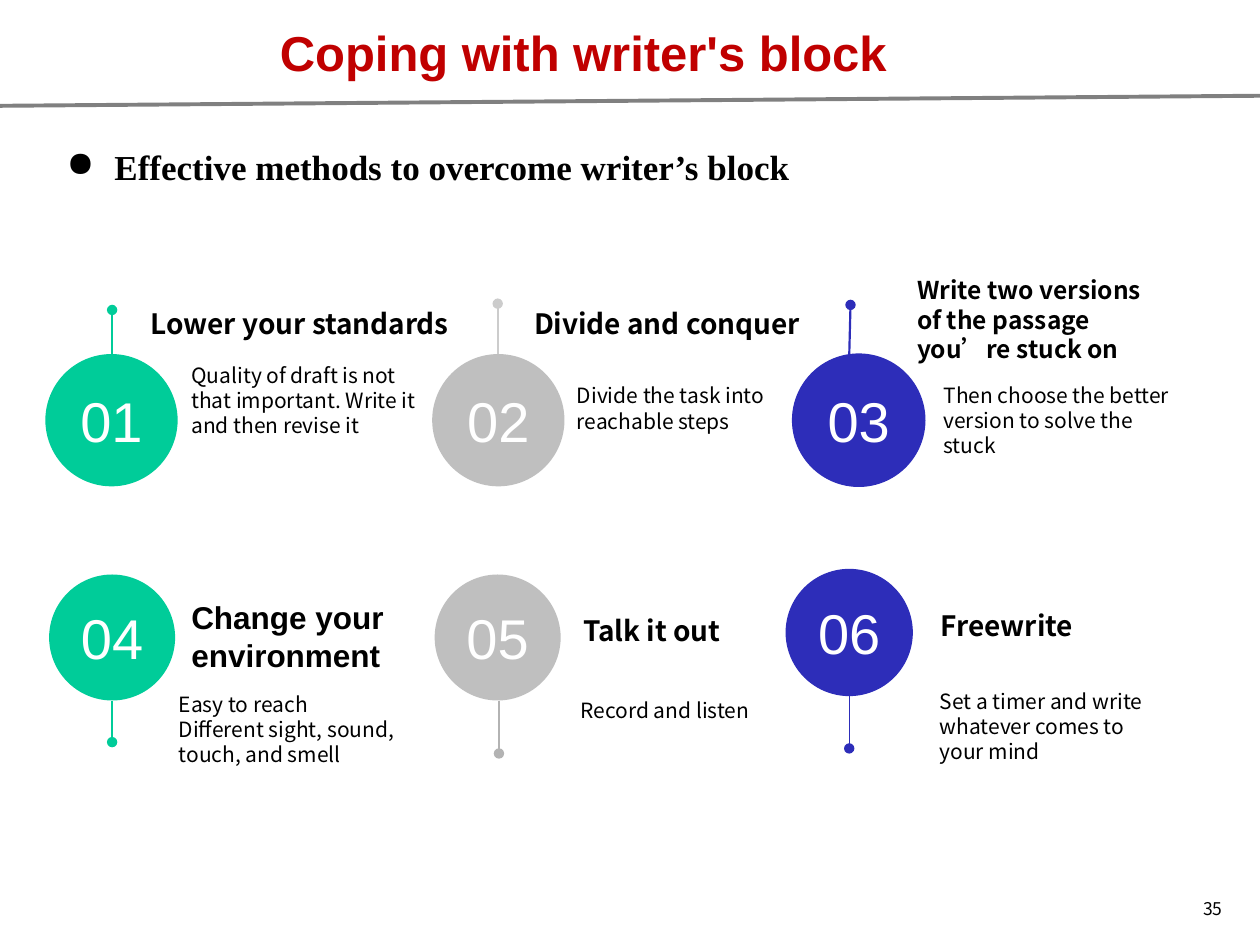
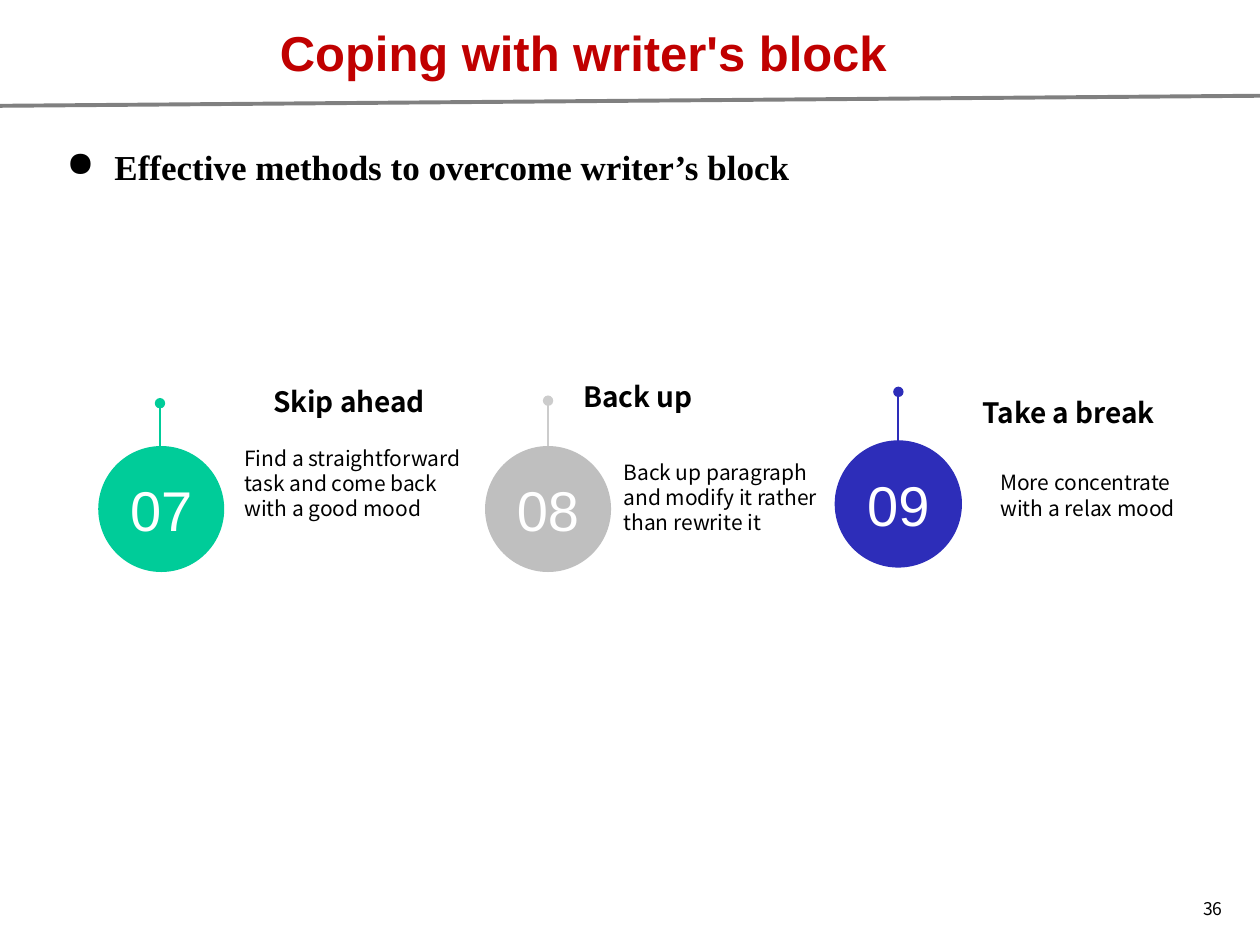
from collections import namedtuple

from lxml.etree import SubElement
from pptx import Presentation
from pptx.dml.color import RGBColor
from pptx.enum.shapes import MSO_CONNECTOR, MSO_SHAPE
from pptx.enum.text import MSO_ANCHOR, PP_ALIGN
from pptx.oxml.ns import qn
from pptx.util import Inches, Pt

BLACK = RGBColor(0x00, 0x00, 0x00)
WHITE = RGBColor(0xFF, 0xFF, 0xFF)
RED = RGBColor(0xC0, 0x00, 0x00)
RULE_GRAY = RGBColor(0x80, 0x80, 0x80)
GREEN = RGBColor(0x00, 0xCC, 0x99)
GRAY = RGBColor(0xBF, 0xBF, 0xBF)
LIGHT_GRAY = RGBColor(0xCC, 0xCC, 0xCC)
PIN_GRAY = RGBColor(0xB3, 0xB3, 0xB3)
BLUE = RGBColor(0x2D, 0x2D, 0xB9)

SANS = "Noto Sans CJK SC"
TITLE = {"name": "Arial", "size": Pt(28), "bold": True, "color": RED}
SUBTITLE = {"name": "Times New Roman", "size": Pt(20), "bold": True, "color": BLACK}
NUMBER = {"name": "Arial", "size": Pt(32), "bold": False, "color": WHITE}
HEADING = {"name": SANS, "size": Pt(16), "bold": True, "color": BLACK}
SMALL_HEADING = {**HEADING, "size": Pt(14)}
ARIAL_HEADING = {**HEADING, "name": "Arial", "size": Pt(18)}
BODY = {"name": SANS, "size": Pt(12), "bold": False, "color": BLACK}
PAGE = {**BODY, "size": Pt(10)}

Circle = namedtuple("Circle", "left top size color")
Pin = namedtuple("Pin", "start end color width")
Label = namedtuple("Label", "box text style")
Method = namedtuple("Method", "circle pin heading body")

SLIDES = {
    35: [
        Method(Circle(0.36, 2.81, 1.05, GREEN),
               Pin((0.89, 2.81), (0.89, 2.46), GREEN, 1.25),
               Label((1.1, 2.38, 3.04, 0.37), "Lower your standards", HEADING),
               Label((1.42, 2.82, 2.09, 0.71),
                     "Quality of draft is not that important. Write it and then revise it", BODY)),
        Method(Circle(3.43, 2.81, 1.05, GRAY),
               Pin((3.95, 2.81), (3.95, 2.41), LIGHT_GRAY, 1.25),
               Label((4.14, 2.38, 3.04, 0.37), "Divide and conquer", HEADING),
               Label((4.48, 2.99, 2.02, 0.5), "Divide the task into reachable steps", BODY)),
        Method(Circle(6.29, 2.81, 1.05, BLUE),
               Pin((6.74, 2.83), (6.75, 2.42), BLUE, 1.25),
               Label((7.18, 2.13, 2.17, 0.81),
                     "Write two versions of the passage you’re stuck on", SMALL_HEADING),
               Label((7.39, 2.98, 2.02, 0.71),
                     "Then choose the better version to solve the stuck", BODY)),
        Method(Circle(0.39, 4.56, 1, GREEN),
               Pin((0.89, 5.56), (0.89, 5.89), GREEN, 1.25),
               Label((1.42, 4.69, 2.03, 0.71), "Change your environment", ARIAL_HEADING),
               Label((1.32, 5.43, 2.09, 0.71),
                     "Easy to reach\nDifferent sight, sound, touch, and smell", BODY)),
        Method(Circle(3.45, 4.56, 1, GRAY),
               Pin((3.96, 5.56), (3.96, 5.98), PIN_GRAY, 0.75),
               Label((4.53, 4.82, 1.9, 0.37), "Talk it out", HEADING),
               Label((4.51, 5.49, 2.09, 0.3), "Record and listen", BODY)),
        Method(Circle(6.24, 4.52, 1, BLUE),
               Pin((6.74, 5.52), (6.74, 5.94), BLUE, 0.75),
               Label((7.37, 4.78, 2.5, 0.37), "Freewrite", HEADING),
               Label((7.36, 5.41, 1.94, 0.71),
                     "Set a timer and write whatever comes to your mind", BODY)),
    ],
    36: [
        Method(Circle(0.78, 3.54, 1, GREEN),
               Pin((1.27, 3.59), (1.27, 3.2), GREEN, 1.25),
               Label((2.07, 3, 1.81, 0.37), "Skip ahead", HEADING),
               Label((1.84, 3.48, 2.09, 0.71),
                     "Find a straightforward task and come back with a good mood", BODY)),
        Method(Circle(3.85, 3.54, 1, GRAY),
               Pin((4.35, 3.54), (4.35, 3.18), LIGHT_GRAY, 1.25),
               Label((4.53, 2.96, 2.9, 0.37), "Back up", HEADING),
               Label((4.85, 3.59, 1.86, 0.71),
                     "Back up paragraph and modify it rather than rewrite it", BODY)),
        Method(Circle(6.63, 3.5, 1, BLUE),
               Pin((7.13, 3.5), (7.13, 3.11), BLUE, 1.25),
               Label((7.7, 3.09, 2.2, 0.37), "Take a break", HEADING),
               Label((7.84, 3.68, 1.86, 0.5), "More concentrate with a relax mood", BODY)),
    ],
}


class Deck:
    def __init__(self):
        self.presentation = Presentation()
        self.presentation.slide_width = Inches(10)
        self.presentation.slide_height = Inches(7.5)
        self.slide = None

    def set_text(self, shape, text, style, alignment=PP_ALIGN.LEFT):
        shape.text_frame.text = text
        for paragraph in shape.text_frame.paragraphs:
            paragraph.alignment = alignment
            for run in paragraph.runs:
                for name, value in style.items():
                    if name == "color":
                        run.font.color.rgb = value
                    else:
                        setattr(run.font, name, value)
                if style["name"] == SANS:
                    SubElement(run._r.get_or_add_rPr(), qn("a:ea"), typeface=SANS)

    def add_title_slide(self, title):
        self.slide = self.presentation.slides.add_slide(self.presentation.slide_layouts[5])
        shape = self.slide.shapes.title
        shape.left, shape.top, shape.width, shape.height = map(Inches, (2.09, 0.13, 5.08, 0.57))
        self.set_text(shape, title, TITLE, PP_ALIGN.CENTER)
        shape.text_frame.word_wrap = False
        self.add_line((0, 0.84), (10, 0.76), RULE_GRAY, 2.25)

    def add_line(self, start, end, color, width):
        line = self.slide.shapes.add_connector(
            MSO_CONNECTOR.STRAIGHT, *map(Inches, (*start, *end)))
        line.line.color.rgb = color
        line.line.width = Pt(width)
        SubElement(line._element.spPr, qn("a:effectLst"))
        return line

    def add_pin(self, pin):
        line = self.add_line(*pin)
        SubElement(line._element.spPr.find(qn("a:ln")), qn("a:tailEnd"), type="oval")

    def add_circle(self, circle, number):
        shape = self.slide.shapes.add_shape(
            MSO_SHAPE.OVAL,
            *map(Inches, (circle.left, circle.top, circle.size, circle.size)))
        shape.shadow.inherit = False
        shape.fill.solid()
        shape.fill.fore_color.rgb = circle.color
        if circle.color == BLUE:
            shape.line.color.rgb = BLUE
            shape.line.width = Pt(0.75)
        else:
            shape.line.fill.background()
        frame = shape.text_frame
        frame.word_wrap = False
        frame.vertical_anchor = MSO_ANCHOR.MIDDLE
        self.set_text(shape, f"{number:02}", NUMBER, PP_ALIGN.CENTER)

    def add_text(self, box, text, style, alignment=PP_ALIGN.LEFT):
        shape = self.slide.shapes.add_textbox(*map(Inches, box))
        shape.text_frame.word_wrap = True
        shape.text_frame.vertical_anchor = MSO_ANCHOR.MIDDLE
        self.set_text(shape, text, style, alignment)
        return shape

    def add_bullet(self, box, text):
        shape = self.add_text(box, text, SUBTITLE)
        properties = shape.text_frame.paragraphs[0]._p.get_or_add_pPr()
        properties.set("marL", str(Inches(0.38)))
        properties.set("indent", str(-Inches(0.38)))
        SubElement(properties, qn("a:buChar"), char="●")

    def add_method(self, method, number):
        self.add_circle(method.circle, number)
        self.add_pin(method.pin)
        self.add_text(*method.heading)
        self.add_text(*method.body)


def main():
    deck = Deck()
    number = 0
    for page, methods in SLIDES.items():
        deck.add_title_slide("Coping with writer's block")
        deck.add_bullet((0.43, 1.1, 7.43, 0.44), "Effective methods to overcome writer’s block")
        for number, method in enumerate(methods, number + 1):
            deck.add_method(method, number)
        deck.add_text((9.33, 7.01, 0.47, 0.4), str(page), PAGE, PP_ALIGN.RIGHT)
    deck.presentation.save("out.pptx")


if __name__ == "__main__":
    main()
